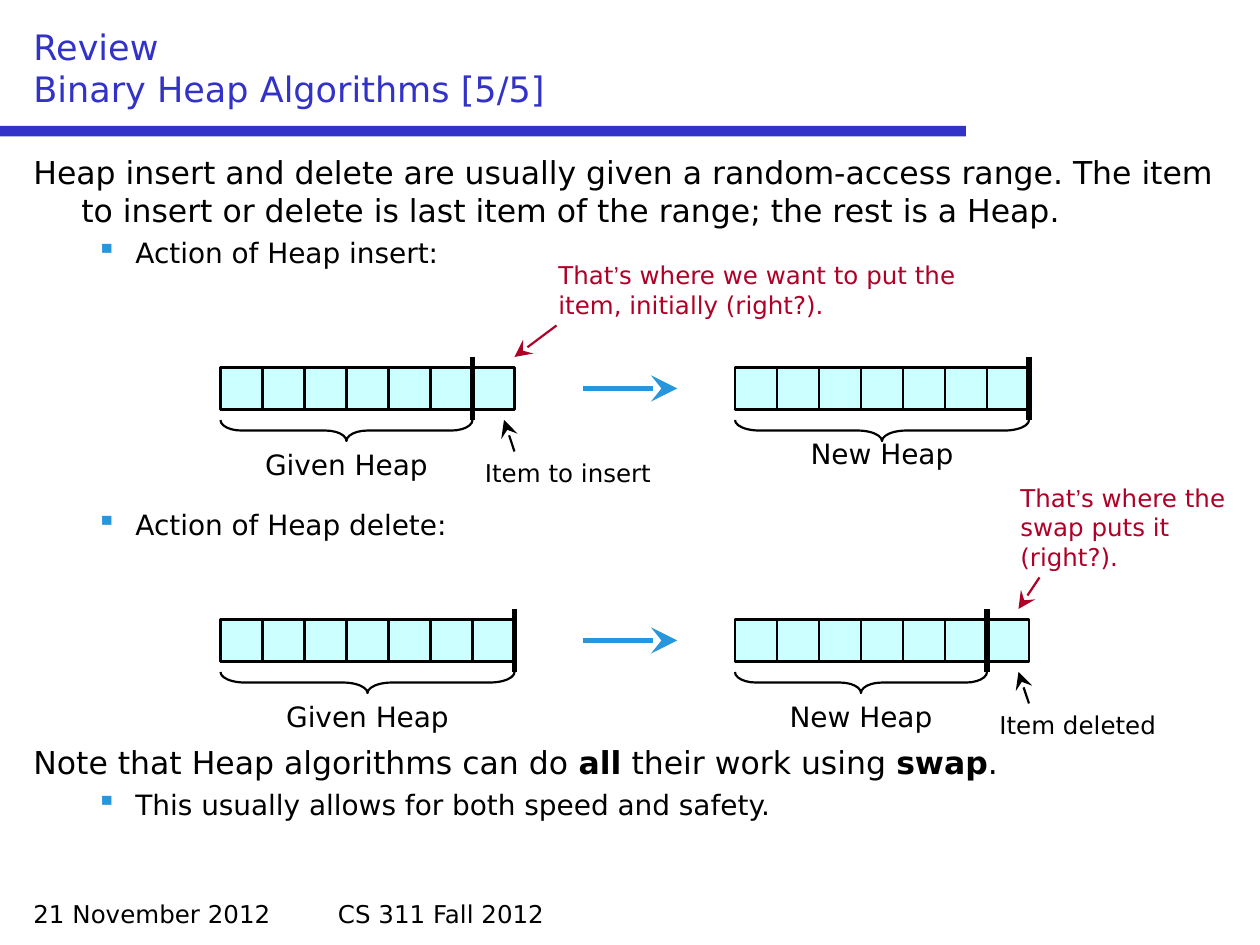
import dataclasses

import lxml.etree
import pptx
import pptx.dml.color
import pptx.enum.shapes
import pptx.enum.text
import pptx.oxml.ns
import pptx.util

SHAPES = pptx.enum.shapes.MSO_SHAPE
ALIGN = pptx.enum.text.PP_ALIGN
ANCHOR = pptx.enum.text.MSO_ANCHOR


@dataclasses.dataclass(frozen=True)
class Theme:
    """Colours, fonts, type sizes and line widths of the deck."""

    ink: str = "000000"
    heading: str = "3232C8"
    accent: str = "2896DC"
    remark: str = "AF0028"
    cell: str = "CCFFFF"
    font: str = "DejaVu Sans"
    quote_font: str = "Arial"
    title: float = 20
    body: float = 18
    item: float = 16
    small: float = 14
    thin: float = 1.25
    thick: float = 3


class HeapPage:
    """Draws on one slide, measuring in grid steps of a twelfth of an inch."""

    CELL = 4
    CELLS = 7

    def __init__(self, page, theme):
        self.page = page
        self.theme = theme

    def steps(self, *counts):
        return [pptx.util.Inches(count / 12) for count in counts]

    def colour(self, value):
        return pptx.dml.color.RGBColor.from_string(value)

    def child(self, parent, tag, **attributes):
        return lxml.etree.SubElement(parent, pptx.oxml.ns.qn(tag), **attributes)

    def stroke(self, line, colour, width):
        line.color.rgb = self.colour(colour)
        line.width = pptx.util.Pt(width)

    def add_spans(self, para, spans, size, colour, emphasis):
        for position, text in enumerate(spans):
            span = para.add_run()
            span.text = text
            span.font.size = pptx.util.Pt(size)
            span.font.name = self.theme.font
            span.font.color.rgb = self.colour(colour)
            if position % 2:
                span.font.bold = emphasis.get("bold")
                span.font.name = emphasis.get("name", self.theme.font)

    def frame(self, place, anchor=ANCHOR.TOP):
        box = self.page.shapes.add_textbox(*self.steps(*place))
        box.text_frame.word_wrap = True
        box.text_frame.vertical_anchor = anchor
        return box.text_frame

    def text(self, place, *lines, size=None, colour=None, align=ALIGN.LEFT,
             anchor=ANCHOR.TOP, emphasis=None):
        frame = self.frame(place, anchor)
        for position, spans in enumerate(lines):
            para = frame.add_paragraph() if position else frame.paragraphs[0]
            para.alignment = align
            self.add_spans(para, spans, size or self.theme.small,
                           colour or self.theme.ink, emphasis or {})

    def outline(self, place, *entries):
        frame = self.frame(place)
        for position, (level, spans) in enumerate(entries):
            para = frame.add_paragraph() if position else frame.paragraphs[0]
            margin, hanging = ((0.38, -0.38), (0.81, -0.31))[level]
            properties = para._p.get_or_add_pPr()
            properties.set("marL", str(pptx.util.Inches(margin)))
            properties.set("indent", str(pptx.util.Inches(hanging)))
            size = self.theme.item if level else self.theme.body
            if position:
                para.space_before = pptx.util.Pt(round(size * 0.23, 1))
            if level:
                tint = self.child(properties, "a:buClr")
                self.child(tint, "a:srgbClr", val=self.theme.accent)
                self.child(properties, "a:buChar", char="▪")
            self.add_spans(para, spans, size, self.theme.ink, {"bold": True})

    def block(self, place, fill, outlined=True):
        shape = self.page.shapes.add_shape(SHAPES.RECTANGLE, *self.steps(*place))
        shape.shadow.inherit = False
        shape.fill.solid()
        shape.fill.fore_color.rgb = self.colour(fill)
        if outlined:
            self.stroke(shape.line, self.theme.ink, self.theme.thin)
        else:
            shape.line.fill.background()

    def brace(self, left, top, span):
        depth = 2
        place = (left + (span - depth) / 2, top + (depth - span) / 2, depth, span)
        shape = self.page.shapes.add_shape(SHAPES.LEFT_BRACE, *self.steps(*place))
        shape.rotation = 270
        shape.adjustments[0] = span / 24
        shape.adjustments[1] = 0.5
        shape.shadow.inherit = False
        shape.fill.background()
        self.stroke(shape.line, self.theme.ink, self.theme.thin)

    def line(self, start, end, colour, width, arrow=True):
        straight = pptx.enum.shapes.MSO_CONNECTOR.STRAIGHT
        connector = self.page.shapes.add_connector(straight, *self.steps(*start, *end))
        self.stroke(connector.line, colour, width)
        if arrow:
            self.child(connector.line._get_or_add_ln(), "a:tailEnd",
                       type="stealth", w="lg", len="lg")
        self.child(connector._element.spPr, "a:effectLst")

    def heap(self, left, top, count, label, width, drop=7):
        for index in range(self.CELLS):
            place = (left + index * self.CELL, top, self.CELL, self.CELL)
            self.block(place, self.theme.cell)
        span = count * self.CELL
        self.brace(left, top + 5, span)
        self.text((left + (span - width) / 2, top + drop, width, 4.4), [label],
                  size=self.theme.item, align=ALIGN.CENTER)
        self.line((left + span, top - 1), (left + span, top + 5),
                  self.theme.ink, self.theme.thick, arrow=False)

    def remark(self, place, spans, start, end):
        self.text(place, spans, colour=self.theme.remark,
                  emphasis={"name": self.theme.quote_font})
        self.line(start, end, self.theme.remark, self.theme.thin)

    def pointer(self, place, label, start, end):
        self.text(place, [label])
        self.line(start, end, self.theme.ink, self.theme.thin)


def main():
    theme = Theme()
    deck = pptx.Presentation()
    deck.slide_width = pptx.util.Inches(10)
    deck.slide_height = pptx.util.Inches(7.5)
    page = HeapPage(deck.slides.add_slide(deck.slide_layouts[6]), theme)

    page.block((0, 12, 92, 1), theme.heading, outlined=False)
    page.text((2, 85, 28, 4), ["21 November 2012"])
    page.text((31, 85, 58, 4), ["CS 311 Fall 2012"])
    page.text((2, 2, 116, 9), ["Review"], ["Binary Heap Algorithms [5/5]"],
              size=theme.title, colour=theme.heading, anchor=ANCHOR.BOTTOM)

    page.outline(
        (2, 14, 116, 13),
        (0, ["Heap insert and delete are usually given a random-access range. "
             "The item to insert or delete is last item of the range; "
             "the rest is a Heap."]),
        (1, ["Action of Heap insert:"]))
    page.outline((2, 47.7, 92, 4.4), (1, ["Action of Heap delete:"]))
    page.outline(
        (2, 70.15, 116, 9),
        (0, ["Note that Heap algorithms can do ", "all",
             " their work using ", "swap", "."]),
        (1, ["This usually allows for both speed and safety."]))

    page.heap(21, 35, 6, "Given Heap", 20)
    page.heap(70, 35, 7, "New Heap", 16, drop=6)
    page.heap(21, 59, 7, "Given Heap", 20)
    page.heap(70, 59, 6, "New Heap", 16)
    for row in (37, 61):
        page.line((55.5, row), (64.5, row), theme.accent, theme.thick)

    page.pointer((45, 43, 22.5, 4), "Item to insert", (49, 43), (48, 40))
    page.pointer((94, 67, 24, 4), "Item deleted", (98, 67), (97, 64))
    page.remark((52, 24.2, 41, 7),
                ["That", "’", "s where we want to put the item, initially (right?)."],
                (53, 31), (49, 34))
    page.remark((96, 45.4, 22, 9.7),
                ["That", "’", "s where the swap puts it (right?)."],
                (99, 55), (97, 58))
    deck.save("out.pptx")


if __name__ == "__main__":
    main()
